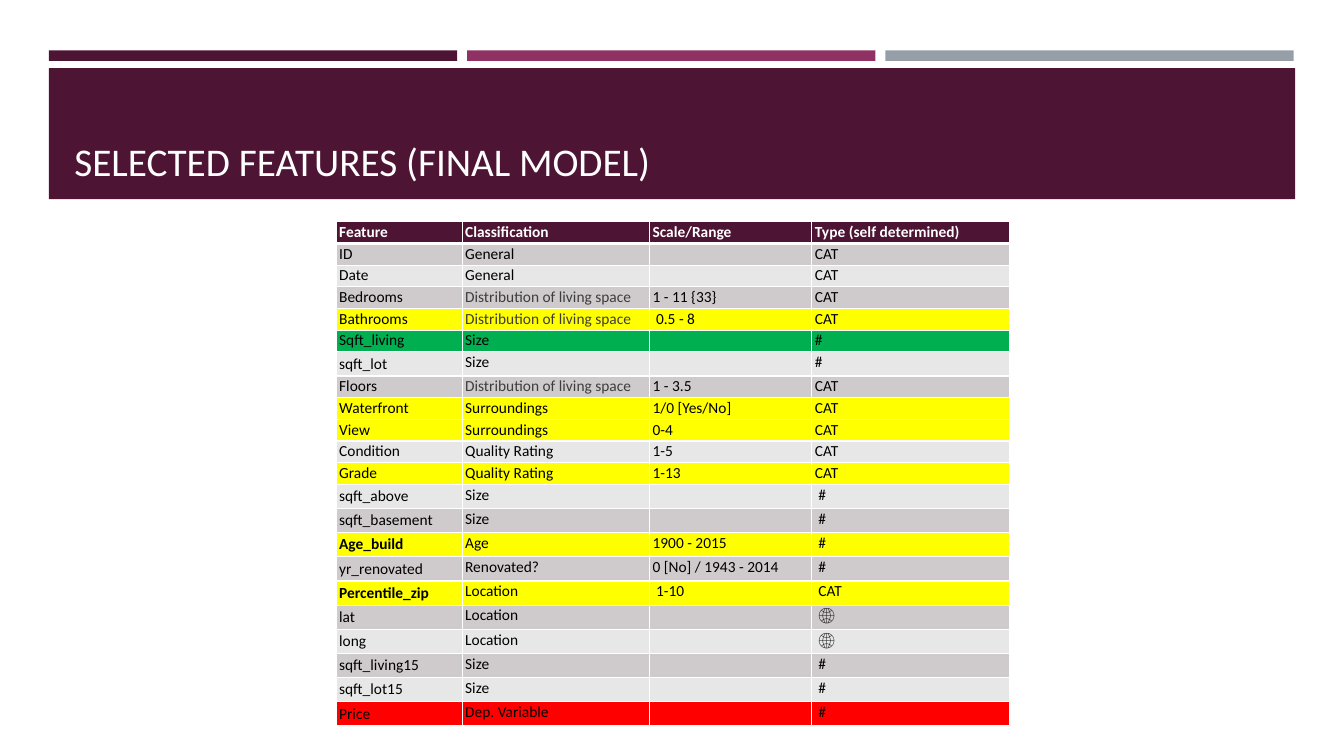
from dataclasses import dataclass

from lxml import etree
from pptx import Presentation
from pptx.dml.color import RGBColor
from pptx.enum.shapes import MSO_SHAPE as Shape
from pptx.enum.text import MSO_ANCHOR as Anchor
from pptx.oxml.ns import qn
from pptx.util import Emu, Pt

EMU_PER_PX = 4572  # 200 px to the inch


@dataclass(frozen=True)
class Theme:
    font: str = "Calibri"
    title_size: int = 28
    table_size: int = 11
    plum: str = "4D1434"
    berry: str = "903163"
    steel: str = "969FA7"
    white: str = "FFFFFF"
    black: str = "000000"
    muted: str = "3D3D3D"
    bands: tuple = ("E8E7E7", "CFCACC")
    chosen: str = "FFFF00"
    key: str = "00B050"
    target: str = "FF0000"


THEME = Theme()
HEADER = ("Feature", "Classification", "Scale/Range", "Type (self determined)")
LIVING_SPACE = "Distribution of living space"
FEATURES = [
    ("ID", "General", "", "CAT"),
    ("Date", "General", "", "CAT"),
    ("Bedrooms", LIVING_SPACE, "1 - 11 {33}", "CAT"),
    ("Bathrooms", LIVING_SPACE, " 0.5 - 8", "CAT"),
    ("Sqft_living", "Size", "", "#"),
    ("sqft_lot", "Size", "", "#"),
    ("Floors", LIVING_SPACE, "1 - 3.5", "CAT"),
    ("Waterfront", "Surroundings", "1/0 [Yes/No]", "CAT"),
    ("View", "Surroundings", "0-4", "CAT"),
    ("Condition", "Quality Rating", "1-5", "CAT"),
    ("Grade", "Quality Rating", "1-13", "CAT"),
    ("sqft_above", "Size", "", " #"),
    ("sqft_basement", "Size", "", " #"),
    ("Age_build", "Age", "1900 - 2015", " #"),
    ("yr_renovated", "Renovated?", "0 [No] / 1943 - 2014", " #"),
    ("Percentile_zip", "Location", " 1-10", " CAT"),
    ("lat", "Location", "", " 🌐"),
    ("long", "Location", "", " 🌐"),
    ("sqft_living15", "Size", "", " #"),
    ("sqft_lot15", "Size", "", " #"),
    ("Price", "Dep. Variable", "", " #"),
]
ENGINEERED = {"Age_build", "Percentile_zip"}
CHOSEN = ENGINEERED | {"Bathrooms", "Waterfront", "View", "Grade"}
HIGHLIGHTS = {name: THEME.chosen for name in CHOSEN}
HIGHLIGHTS |= {"Sqft_living": THEME.key, "Price": THEME.target}

COLUMN_WIDTHS = (250, 372, 322, 392)
ROW_HEIGHT, TALL_ROW_HEIGHT = 43, 48
SIDE_INSET, CELL_INSET, TALL_INSET = 6, 2, 5


def px(length):
    return Emu(length * EMU_PER_PX)


def write(frame, text, *, size, color, bold=False):
    """Fill the frame's first paragraph; an empty one still keeps its type size."""
    paragraph = frame.paragraphs[0]
    if not text:
        end = etree.SubElement(paragraph._p, qn("a:endParaRPr"))
        end.set("sz", str(size * 100))
        return
    run = paragraph.add_run()
    run.text = text
    run.font.name = THEME.font
    run.font.size = Pt(size)
    run.font.bold = bold
    run.font.color.rgb = RGBColor.from_string(color)


def rule_cell(cell, **widths):
    """Draw white borders; widths in points are keyed by side: L, R, T, B."""
    properties = cell._tc.get_or_add_tcPr()
    for side, width in widths.items():
        line = etree.SubElement(properties, qn(f"a:ln{side}"), w=str(Pt(width)))
        fill = etree.SubElement(line, qn("a:solidFill"))
        etree.SubElement(fill, qn("a:srgbClr"), val=THEME.white)


class SlideBuilder:
    def __init__(self, slide, theme):
        self.shapes = slide.shapes
        self.theme = theme

    def bar(self, left, top, width, height, color):
        bar = self.shapes.add_shape(Shape.RECTANGLE, px(left), px(top), px(width), px(height))
        bar.shadow.inherit = False
        bar.fill.solid()
        bar.fill.fore_color.rgb = RGBColor.from_string(color)
        bar.line.fill.background()

    def title(self, text, left, top, width, height):
        frame = self.shapes.add_textbox(px(left), px(top), px(width), px(height)).text_frame
        frame.word_wrap = True
        frame.vertical_anchor = Anchor.BOTTOM
        write(frame, text, size=self.theme.title_size, color=self.theme.white)

    def cell(self, cell, text, *, fill, color, bold, inset, top_rule, bottom_rule):
        cell.margin_left = cell.margin_right = px(SIDE_INSET)
        cell.margin_top = cell.margin_bottom = px(inset)
        rule_cell(cell, L=1, R=1, T=top_rule, B=bottom_rule)
        cell.fill.solid()
        cell.fill.fore_color.rgb = RGBColor.from_string(fill)
        write(cell.text_frame, text, size=self.theme.table_size, color=color, bold=bold)

    def feature_table(self, left, top):
        theme = self.theme
        rows = [HEADER, *FEATURES]
        first_long_row = rows.index(next(r for r in rows if r[0] == "sqft_above"))
        tall = [r[0] == "sqft_lot" or i >= first_long_row for i, r in enumerate(rows)]
        heights = [TALL_ROW_HEIGHT if is_tall else ROW_HEIGHT for is_tall in tall]
        table = self.shapes.add_table(
            len(rows), len(HEADER), px(left), px(top),
            px(sum(COLUMN_WIDTHS)), px(sum(heights))).table
        table.horz_banding = False
        for column, width in zip(table.columns, COLUMN_WIDTHS):
            column.width = px(width)
        for i, row in enumerate(rows):
            table.rows[i].height = px(heights[i])
            is_header = i == 0
            fill = theme.plum if is_header else HIGHLIGHTS.get(row[0], theme.bands[i % 2])
            for j, text in enumerate(row):
                color = theme.muted if text == LIVING_SPACE else theme.black
                self.cell(
                    table.cell(i, j), text, fill=fill,
                    color=theme.white if is_header else color,
                    bold=is_header or text in ENGINEERED,
                    inset=TALL_INSET if tall[i] and j == 0 else CELL_INSET,
                    top_rule=3 if i == 1 else 1,
                    bottom_rule=3 if is_header else 1)


def main():
    deck = Presentation()
    deck.slide_width, deck.slide_height = px(2667), px(1500)
    builder = SlideBuilder(deck.slides.add_slide(deck.slide_layouts[6]), THEME)
    for i, color in enumerate((THEME.plum, THEME.berry, THEME.steel)):
        builder.bar(97 + i * 830, 100, 810, 21, color)
    builder.bar(97, 135, 2473, 260, THEME.plum)
    builder.title("SELECTED FEATURES (FINAL MODEL)", 128, 154, 2412, 222)
    builder.feature_table(667, 440)
    deck.save("out.pptx")


if __name__ == "__main__":
    main()
